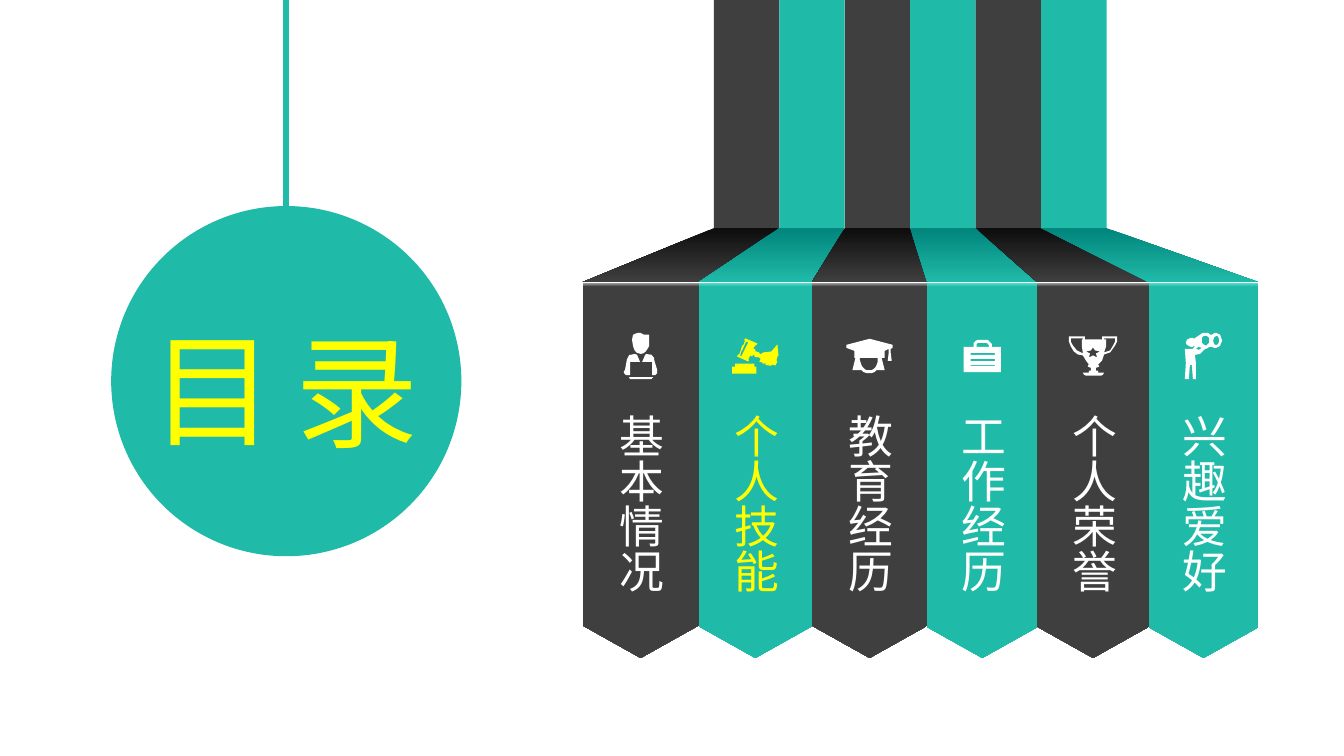
from lxml import etree
from pptx import Presentation
from pptx.dml.color import RGBColor
from pptx.enum.shapes import MSO_CONNECTOR, MSO_SHAPE
from pptx.enum.text import MSO_ANCHOR, MSO_AUTO_SIZE
from pptx.oxml.ns import qn
from pptx.util import Cm, Pt

FONT = "Noto Sans CJK SC"
TEAL, GREY, YELLOW, WHITE = "20BAA8", "3F3F3F", "FFFF00", "FFFFFF"

# Lane geometry in centimetres
STRIP_LEFT, STRIP_WIDTH, STRIP_TOP = 17.99, 1.65, -3.3
FOLD_TOP, FOLD_BOTTOM = 5.75, 7.11
BANNER_EDGES = [14.68, 17.61, 20.46, 23.37, 26.14, 28.95, 31.71]
BANNER_TOP, BANNER_LENGTH = 7.13, 9.45
ICON_MIDDLE = 8.97
ICON_UNIT = Cm(0.0254)

# Lane colours: strip, dark end of the fold, light edge of the banner
LANE_COLOURS = [(GREY, "0D0D0D", "A6A6A6"), (TEAL, "01857C", "54E2D1")]

# Icon outlines: points "x,y", contours separated by "/"
PERSON = """5,44 29,44 27,46 6,46 / 11,21 13,22 16,29 6,29 6,42 2,42 1,41 0,40 0,38 1,37
3,26 4,25 4,24 5,23 5,22 6,22 / 22,21 28,22 28,23 29,24 30,25 30,27 33,37 33,40 32,41
31,42 28,42 28,29 18,29 21,22 / 14,0 16,0 18,1 20,2 25,2 25,13 24,15 22,18 20,20 17,21
13,20 11,18 10,16 9,13 8,7 9,2 11,1"""
GAVEL = """3,25 22,25 22,28 24,28 24,35 0,35 0,28 3,28 / 14,3 10,12 9,13 8,17 9,18 11,14
12,12 16,4 / 13,0 25,5 24,7 23,7 21,10 23,11 23,13 24,13 27,14 27,15 30,16 29,15 31,14
39,13 45,6 46,17 45,18 44,22 45,23 44,25 43,27 40,26 39,27 36,27 36,25 35,27 33,26 33,24
32,25 30,25 30,23 29,24 27,23 28,21 28,20 25,18 25,19 22,18 22,17 21,16 20,18 18,17 16,21
17,21 16,23 5,18 6,16 7,16 9,11 9,10 10,7 11,7 13,2 12,2"""
GRADUATE = """14,19 13,20 14,23 15,26 16,28 18,30 20,31 25,31 27,30 29,28 30,26 31,23
31,19 / 23,0 46,6 46,9 44,10 44,14 45,22 41,22 42,14 42,10 38,12 38,19 35,19 38,31 30,31
28,33 25,34 20,34 17,33 15,31 6,31 9,19 8,19 8,12 0,9 0,6"""
BRIEFCASE = """7,25 7,26 31,26 31,25 / 7,19 7,21 31,21 31,19 / 7,13 7,15 31,15 31,13 /
15,3 14,3 13,4 13,7 25,7 25,5 24,4 23,3 / 15,0 24,0 25,1 26,2 27,3 28,4 28,7 37,7 37,32
0,32 0,7 10,7 10,3 11,2 12,1 14,0"""
TROPHY = """35,0 33,0 33,3 16,3 16,0 0,0 0,5 2,10 5,15 9,18 14,19 17,24 20,28 19,29 19,30
21,31 22,31 22,34 20,34 20,36 14,36 15,38 17,39 32,39 34,38 35,36 29,36 29,34 27,34 27,31
28,31 30,30 30,29 29,28 33,24 35,18 41,16 46,9 48,5 48,0 / 14,3 13,3 13,10 14,17 8,14 4,9
2,5 2,2 14,2 / 27,17 28,21 24,19 20,21 21,17 17,15 22,14 24,11 26,14 31,15 / 44,9 41,14
35,16 37,10 37,3 35,3 35,2 46,2 46,5"""
WATCHER = """13,14 17,15 14,17 11,16 / 31,3 32,3 33,4 34,6 34,9 33,11 32,12 30,12 29,11
28,8 29,5 29,4 30,4 / 21,2 21,3 22,3 23,4 24,5 24,10 23,11 22,12 21,13 20,12 19,12 18,11
17,10 17,5 18,4 19,3 20,3 / 21,0 18,0 9,6 8,5 6,5 4,6 2,7 1,10 2,12 4,13 6,14 8,14 9,13
10,13 8,16 0,16 1,30 0,46 4,46 5,32 7,32 8,46 11,46 11,30 10,22 15,21 20,16 21,16 23,15
24,14 27,14 29,15 31,15 33,14 35,13 36,10 37,8 36,5 35,2 33,1 31,0 30,0 28,1 27,2 25,2
23,0"""

LANES = [
    ("基本情况", PERSON, WHITE),
    ("个人技能", GAVEL, YELLOW),
    ("教育经历", GRADUATE, WHITE),
    ("工作经历", BRIEFCASE, WHITE),
    ("个人荣誉", TROPHY, WHITE),
    ("兴趣爱好", WATCHER, WHITE),
]


def colour(hex_string):
    return RGBColor.from_string(hex_string)


def set_attributes(target, values):
    for name, value in values.items():
        setattr(target, name, value)


def paint(shape, fill_colour):
    """Flat fill without outline or shadow."""
    shape.shadow.inherit = False
    shape.line.fill.background()
    shape.fill.solid()
    shape.fill.fore_color.rgb = colour(fill_colour)


def paint_gradient(shape, stops, angle):
    shape.shadow.inherit = False
    shape.line.fill.background()
    shape.fill.gradient()
    shape.fill.gradient_angle = angle
    for stop, (position, stop_colour) in zip(shape.fill.gradient_stops, stops):
        stop.color.rgb = colour(stop_colour)
        stop.position = position


def add_preset(shapes, kind, left, top, width, height):
    return shapes.add_shape(kind, Cm(left), Cm(top), Cm(width), Cm(height))


def add_outline(shapes, contours, scale, left=0, top=0):
    first, *others = contours
    builder = shapes.build_freeform(*first[0], scale=scale)
    builder.add_line_segments(first[1:], close=True)
    for contour in others:
        builder.move_to(*contour[0])
        builder.add_line_segments(contour[1:], close=True)
    return builder.convert_to_shape(left, top)


def add_icon(shapes, outline, center, fill_colour):
    contours = [[tuple(map(int, point.split(","))) for point in contour.split()]
                for contour in outline.split("/")]
    width, height = (max(axis) for axis in zip(*sum(contours, [])))
    left = Cm(center) - width * ICON_UNIT // 2
    top = Cm(ICON_MIDDLE) - height * ICON_UNIT // 2
    paint(add_outline(shapes, contours, ICON_UNIT, left, top), fill_colour)


def add_label(shapes, text, left, top, width, height, size, text_colour, vertical=False):
    frame = shapes.add_textbox(Cm(left), Cm(top), Cm(width), Cm(height)).text_frame
    set_attributes(frame, {"word_wrap": False, "vertical_anchor": MSO_ANCHOR.MIDDLE,
                           "auto_size": MSO_AUTO_SIZE.SHAPE_TO_FIT_TEXT})
    if vertical:
        frame._txBody.bodyPr.set("vert", "eaVert")
    run = frame.paragraphs[0].add_run()
    run.text = text
    set_attributes(run.font, {"size": Pt(size), "name": FONT})
    run.font.color.rgb = colour(text_colour)
    etree.SubElement(run._r.get_or_add_rPr(), qn("a:ea")).set("typeface", FONT)


def add_pendant(shapes):
    cord = shapes.add_connector(MSO_CONNECTOR.STRAIGHT, Cm(7.21), Cm(-0.05), Cm(7.21), Cm(7))
    cord.line.color.rgb = colour(TEAL)
    cord.line.width = Pt(4.5)
    etree.SubElement(cord._element.spPr, qn("a:effectLst"))
    disc = add_preset(shapes, MSO_SHAPE.OVAL, 2.82, 5.21, 8.79, 8.79)
    paint(disc, TEAL)
    disc.line.color.rgb = colour(TEAL)
    disc.line.width = Pt(1)
    for character, left, top in (("目", 3.58, 7.75), ("录", 7.21, 7.8)):
        add_label(shapes, character, left, top, 3.66, 4.01, 88, YELLOW)


def add_lane(shapes, index, title, outline, text_colour):
    base, dark, light = LANE_COLOURS[index % 2]
    left, right = BANNER_EDGES[index:index + 2]
    center, width = (left + right) / 2, right - left
    strip_left = STRIP_LEFT + index * STRIP_WIDTH

    # Hanging strip
    paint(add_preset(shapes, MSO_SHAPE.RECTANGLE, strip_left, STRIP_TOP,
                     STRIP_WIDTH, FOLD_TOP - STRIP_TOP), base)

    # Fold between strip and banner
    corners = [(strip_left, FOLD_TOP), (strip_left + STRIP_WIDTH, FOLD_TOP),
               (right, FOLD_BOTTOM), (left, FOLD_BOTTOM)]
    contour = [(round(x * 100), round(y * 100)) for x, y in corners]
    fold = add_outline(shapes, [contour], Cm(0.01))
    paint_gradient(fold, [(0, dark), (1, base)], 270)

    # Banner pointing down
    banner = add_preset(shapes, MSO_SHAPE.PENTAGON, center - BANNER_LENGTH / 2,
                        BANNER_TOP + (BANNER_LENGTH - width) / 2, BANNER_LENGTH, width)
    banner.rotation = 90
    banner.adjustments[0] = 0.28
    paint_gradient(banner, [(0, light), (0.01, base)], 0)

    # Icon and title
    add_icon(shapes, outline, center, text_colour)
    add_label(shapes, title, center - 0.94, 10.19, 1.88, 4.83, 32, text_colour, vertical=True)


def main():
    presentation = Presentation()
    set_attributes(presentation, {"slide_width": Cm(33.87), "slide_height": Cm(19.05)})
    slide = presentation.slides.add_slide(presentation.slide_layouts[6])
    add_pendant(slide.shapes.add_group_shape().shapes)
    lanes = slide.shapes.add_group_shape().shapes
    for index, lane in enumerate(LANES):
        add_lane(lanes, index, *lane)
    presentation.save("out.pptx")


main()
